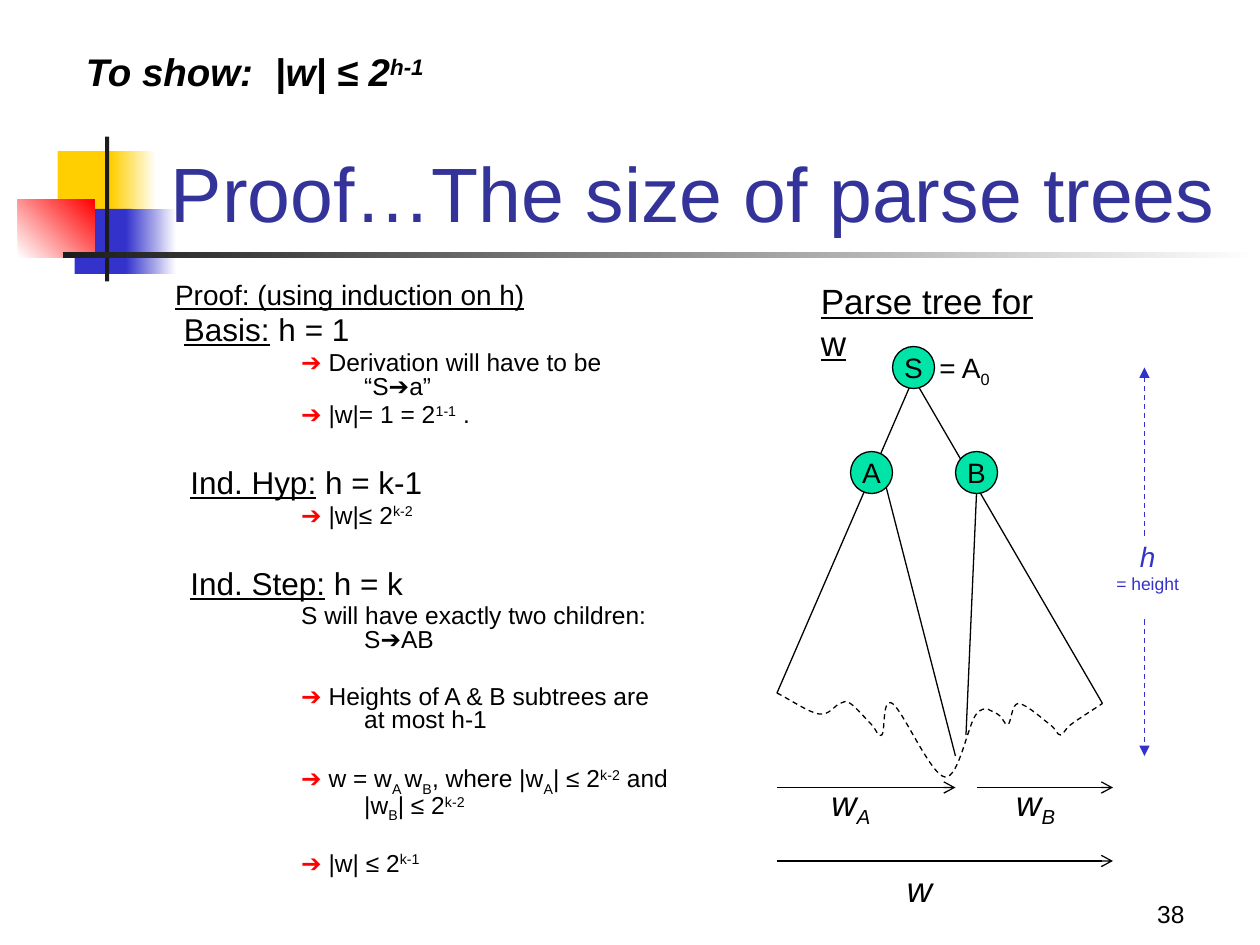
from lxml.etree import SubElement
from pptx import Presentation
from pptx.dml.color import RGBColor
from pptx.enum.dml import MSO_LINE
from pptx.enum.shapes import MSO_CONNECTOR, MSO_SHAPE
from pptx.enum.text import MSO_ANCHOR, MSO_AUTO_SIZE, PP_ALIGN
from pptx.oxml.ns import qn
from pptx.util import Inches, Pt

COLORS = {"black": "000000", "white": "FFFFFF", "dark": "1C1C1C", "gold": "FFCF01",
          "blue": "3333CC", "navy": "333399", "red": "FF0000", "green": "00E4A8"}
BASE = {"^": "30000", "_": "-25000"}
COLS, ROWS = 120, 90
ARROW = ("➔", "r")


def cell(count):
    """Length of a number of grid cells, twelve to the inch."""
    return Inches(count / 12)


def tint(name):
    return RGBColor.from_string(COLORS[name])


def write(par, runs, size, color="black"):
    """Fill a paragraph with (text, marks); marks: b i u, r red, ^ raised, _ lowered."""
    for text, marks in runs:
        run = par.add_run()
        run.text = text
        font = run.font
        font.name, font.size = "Arial", Pt(size)
        font.color.rgb = tint("red" if "r" in marks else color)
        font.bold, font.italic = "b" in marks, "i" in marks
        font.underline = "u" in marks
        for mark, shift in BASE.items():
            if mark in marks:
                run._r.get_or_add_rPr().set("baseline", shift)


def add_box(slide, place, wrap=False, anchor=MSO_ANCHOR.TOP):
    frame = slide.shapes.add_textbox(*map(cell, place)).text_frame
    frame.word_wrap = wrap
    frame.vertical_anchor = anchor
    frame.auto_size = MSO_AUTO_SIZE.NONE if wrap else MSO_AUTO_SIZE.SHAPE_TO_FIT_TEXT
    return frame


def add_label(slide, place, runs, size, color="black"):
    write(add_box(slide, place).paragraphs[0], runs, size, color)


def add_bar(slide, place, start, end=None, angle=0):
    bar = slide.shapes.add_shape(MSO_SHAPE.RECTANGLE, *map(cell, place))
    bar.shadow.inherit = False
    bar.line.fill.background()
    if end is None:
        bar.fill.solid()
        bar.fill.fore_color.rgb = tint(start)
        return
    bar.fill.gradient()
    bar.fill.gradient_angle = angle
    for stop, name in zip(bar.fill.gradient_stops, (start, end)):
        stop.color.rgb = tint(name)


def add_line(slide, ends, color="black", dash=False, head=None):
    line = slide.shapes.add_connector(MSO_CONNECTOR.STRAIGHT, *map(cell, ends))
    line.line.color.rgb = tint(color)
    line.line.width = Pt(0.75)
    if dash:
        line.line.dash_style = MSO_LINE.DASH
    if head:
        SubElement(line.line._get_or_add_ln(), qn("a:tailEnd"), type=head)
    SubElement(line._element.spPr, qn("a:effectLst"))


def add_node(slide, x, y, name):
    node = slide.shapes.add_shape(MSO_SHAPE.OVAL, *map(cell, (x - 2, y - 2, 4, 4)))
    node.shadow.inherit = False
    node.fill.solid()
    node.fill.fore_color.rgb = tint("green")
    node.line.color.rgb = tint("black")
    node.line.width = Pt(0.75)
    frame = node.text_frame
    frame.word_wrap = False
    frame.vertical_anchor = MSO_ANCHOR.MIDDLE
    frame.paragraphs[0].alignment = PP_ALIGN.CENTER
    write(frame.paragraphs[0], [(name, "")], 16)


def add_curve(slide, knots):
    """Smooth dashed curve through the knots; each tangent follows its neighbours."""
    def mirror(a, b):
        return 2 * a[0] - b[0], 2 * a[1] - b[1]

    def shift(p, a, b):
        return p[0] + (b[0] - a[0]) / 6, p[1] + (b[1] - a[1]) / 6

    full = [mirror(knots[0], knots[1]), *knots, mirror(knots[-1], knots[-2])]
    points = []
    for a, b, c, d in zip(full, full[1:], full[2:], full[3:]):
        points += [shift(b, a, c), shift(c, d, b), c]
    build = slide.shapes.build_freeform(*map(cell, knots[0]))
    build.add_line_segments([(cell(x), cell(y)) for x, y in points], close=False)
    curve = build.convert_to_shape()
    curve.shadow.inherit = False
    curve.fill.background()
    curve.line.color.rgb = tint("black")
    curve.line.width = Pt(0.75)
    curve.line.dash_style = MSO_LINE.DASH
    track = next(curve._element.iter(qn("a:path")))
    steps = track.findall(qn("a:lnTo"))
    for i in range(0, len(steps), 3):
        bend = SubElement(track, qn("a:cubicBezTo"))
        for step in steps[i:i + 3]:
            bend.append(step[0])
            track.remove(step)


def add_proof(slide):
    """Each row: size, left margin, first indent, space before, runs."""
    deep = (14, 1.5, -0.5)
    head = (18, 0.62, -0.5)
    rows = [
        (16, 0.67, -0.67, 0, [("Proof: (using induction on h)", "u")]),
        (18, 0.65, -0.58, 3.6, [("Basis:", "u"), (" h = 1", "")]),
        (*deep, 2.8, [ARROW, (" Derivation will have to be “S➔a”", "")]),
        (*deep, 2.8, [ARROW, (" |w|= 1 = 2", ""), ("1-1", "^"), (" .", "")]),
        (*head, 24, [("Ind. Hyp:", "u"), (" h = k-1", "")]),
        (*deep, 2.8, [ARROW, (" |w|≤ 2", ""), ("k-2", "^")]),
        (*head, 24, [("Ind. Step:", "u"), (" h = k", "")]),
        (*deep, 2.8, [("S will have exactly two children: S➔AB", "")]),
        (*deep, 19, [ARROW, (" Heights of A & B subtrees are at most h-1", "")]),
        (*deep, 19, [ARROW, (" w = w", ""), ("A ", "_"), ("w", ""), ("B", "_"),
                     (", where |w", ""), ("A", "_"), ("| ≤ 2", ""), ("k-2", "^"),
                     (" and |w", ""), ("B", "_"), ("| ≤ 2", ""), ("k-2", "^")]),
        (*deep, 19, [ARROW, (" |w| ≤ 2", ""), ("k-1", "^")]),
    ]
    frame = add_box(slide, (15.5, 26.5, 50, 54), wrap=True)
    for i, (size, left, first, gap, runs) in enumerate(rows):
        par = frame.add_paragraph() if i else frame.paragraphs[0]
        props = par._p.get_or_add_pPr()
        props.set("marL", str(Inches(left)))
        props.set("indent", str(Inches(first)))
        par.line_spacing = 0.8
        par.space_before = Pt(gap)
        write(par, runs, size)


def add_decor(slide):
    add_bar(slide, (5.5, 14.4, 5.8, 6.2), "gold")
    add_bar(slide, (10.6, 14.4, 4.3, 6.2), "gold", "white")
    add_bar(slide, (7.1, 19.9, 5.5, 6.2), "blue")
    add_bar(slide, (12, 19.9, 4.8, 6.2), "blue", "white")
    add_bar(slide, (1.7, 19, 7.3, 5.5), "white", "red", 45)
    add_bar(slide, (10, 13, 0.4, 13.8), "dark")
    add_bar(slide, (6, 24, 114, 0.6), "dark", "white")


def add_tree(slide):
    add_label(slide, (77, 26, 25.9, 5.2), [("Parse tree for w", "u")], 20)
    for ends in ((87, 36, 74, 66), (87, 36, 105, 67),
                 (84.4, 46.4, 91, 72), (93, 47, 92, 70)):
        add_line(slide, ends)
    add_curve(slide, [(74, 66), (78, 68), (80, 67), (81, 67), (83, 69), (84, 70),
                      (85, 67), (90, 74), (93, 68), (95, 68), (96, 69), (97, 67),
                      (100, 69), (101, 70), (102, 69), (105, 67)])
    for x, y, name in ((87, 35, "S"), (83, 45, "A"), (93, 45, "B")):
        add_node(slide, x, y, name)
    add_label(slide, (88.3, 32.8, 7.2, 4.4), [("= A", ""), ("0", "_")], 16)


def add_spans(slide):
    """Height on the right and the widths of the words below."""
    for start, end in ((51, 35), (59, 72)):
        add_line(slide, (109, start, 109, end), "blue", True, "triangle")
    frame = add_box(slide, (105.1, 50.8, 8.4, 6.4))
    for par, text, marks, size in ((frame.paragraphs[0], "h", "i", 16),
                                   (frame.add_paragraph(), "= height", "", 10)):
        par.alignment = PP_ALIGN.CENTER
        write(par, [(text, marks)], size, "blue")
    for start, end, y in ((74, 91, 75), (93, 106, 75), (74, 106, 82)):
        add_line(slide, (start, y, end, y), head="arrow")
    for x, name in ((78, "A"), (95.6, "B")):
        add_label(slide, (x, 73.8, 6.4, 5.3), [("w", "i"), (name, "i_")], 20)
    add_label(slide, (85.2, 82, 4.8, 5.2), [("w", "i")], 20)


def main():
    deck = Presentation()
    deck.slide_width, deck.slide_height = cell(COLS), cell(ROWS)
    slide = deck.slides.add_slide(deck.slide_layouts[6])
    add_decor(slide)
    title = add_box(slide, (15.1, 8.2, 102.2, 15), True, MSO_ANCHOR.BOTTOM)
    write(title.paragraphs[0], [("Proof…The size of parse trees", "")], 44, "navy")
    add_label(slide, (7, 4, 41.4, 9.7), [("To show: \t|w| ≤ 2", "bi"), ("h-1", "bi^")], 22)
    add_proof(slide)
    add_tree(slide)
    add_spans(slide)
    number = add_box(slide, (89, 83, 25, 6), True, MSO_ANCHOR.BOTTOM).paragraphs[0]
    number.alignment = PP_ALIGN.RIGHT
    write(number, [("38", "")], 14)
    deck.save("out.pptx")


if __name__ == "__main__":
    main()
